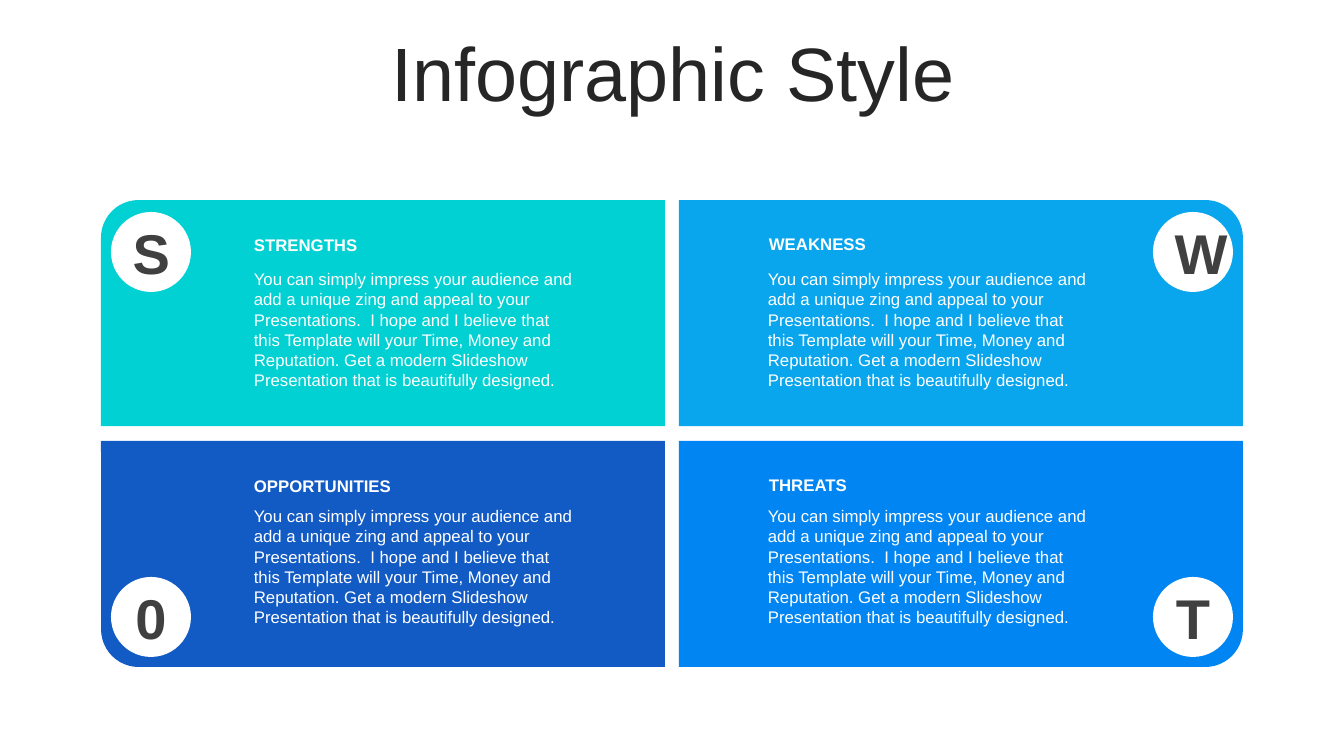
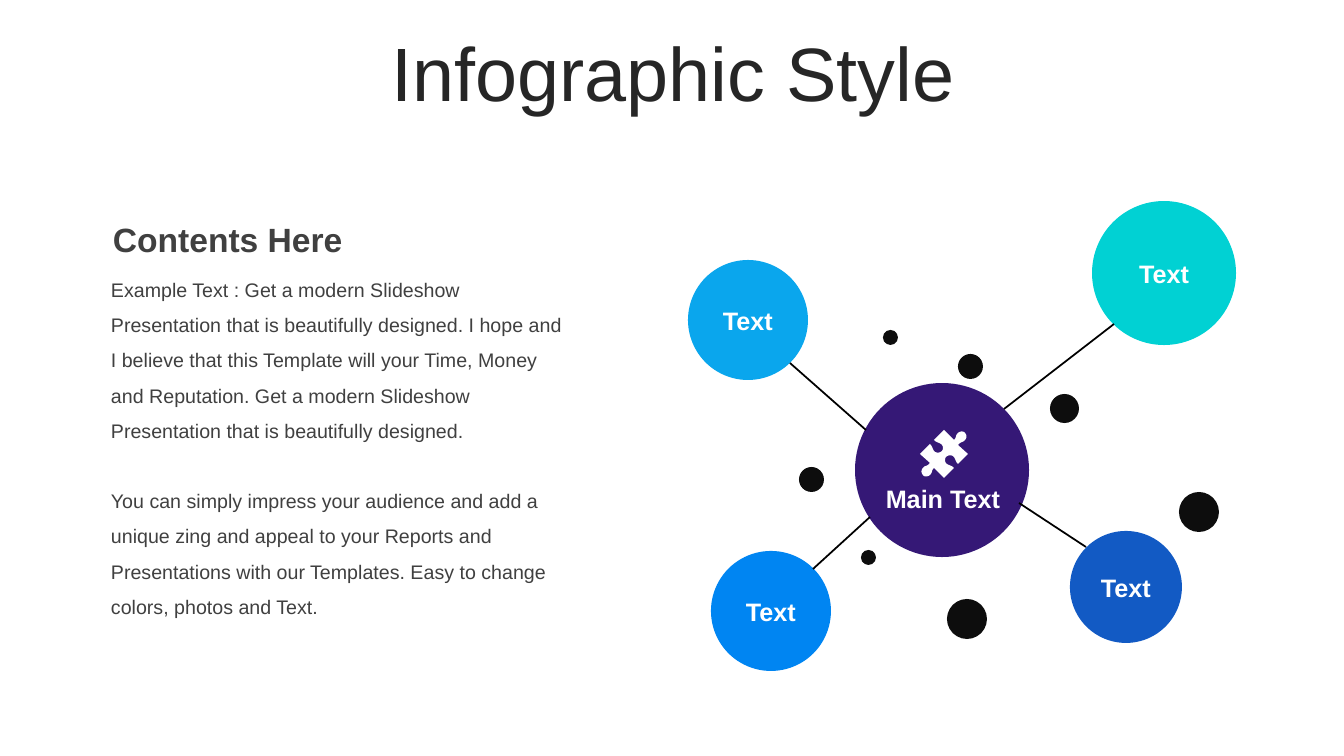
"""Builds a SWOT grid slide and a hub diagram slide."""
from pptx import Presentation
from pptx.dml.color import RGBColor
from pptx.enum.shapes import MSO_CONNECTOR, MSO_SHAPE
from pptx.enum.text import MSO_ANCHOR, PP_ALIGN
from pptx.oxml.ns import qn
from pptx.util import Pt
from lxml import etree

OVAL, CARD = MSO_SHAPE.OVAL, MSO_SHAPE.ROUND_1_RECTANGLE
LINE = MSO_CONNECTOR.STRAIGHT
LEFT, MID = PP_ALIGN.LEFT, PP_ALIGN.CENTER
CENTRE = MSO_ANCHOR.MIDDLE
PX = 914400 / 100.8
FONT = "Arial"
INK = {
    "title": "262626", "text": "404040", "white": "FFFFFF", "line": "000000",
    "dot": "0D0D0D", "teal": "01D1D3", "sky": "0AA6ED", "navy": "125AC4",
    "blue": "0085F2", "plum": "351876",
}


def write(frame, text, size, ink, bold=False, align=LEFT):
    frame.word_wrap = True
    for row, line in enumerate(text.split("\n")):
        para = frame.add_paragraph() if row else frame.paragraphs[0]
        para.alignment = align
        run = para.add_run()
        run.text = line
        run.font.name, run.font.size, run.font.bold = FONT, Pt(size), bold
        run.font.color.rgb = RGBColor.from_string(INK[ink])
    return frame


def place(slide, box, kind=None, fill=None):
    box = [round(n * PX) for n in box]
    if kind is None:
        return slide.shapes.add_textbox(*box)
    shape = slide.shapes.add_shape(kind, *box)
    shape.shadow.inherit = False
    shape.fill.solid()
    shape.fill.fore_color.rgb = RGBColor.from_string(INK[fill])
    shape.line.fill.background()
    return shape


deck = Presentation()
deck.slide_width, deck.slide_height = round(1344 * PX), round(756 * PX)
swot, hub = [deck.slides.add_slide(deck.slide_layouts[6]) for _ in range(2)]
for slide in (swot, hub):
    frame = place(slide, (35, 37, 1276, 80)).text_frame
    frame.vertical_anchor = CENTRE
    write(frame, "Infographic Style", 54, "title", align=MID)
    frame.paragraphs[0].line_spacing = 0.9
    frame.paragraphs[0].space_before = Pt(10)

PITCH = "You can simply impress your audience and add a "
GET = "Get a modern Slideshow Presentation that is beautifully designed."
HOPE = "I hope and I believe that this Template will your Time, Money and Reputation. " + GET
BODY = PITCH + "unique zing and appeal to your Presentations.  " + HOPE

cards = [
    ("S", "STRENGTHS", "teal"), ("W", "WEAKNESS", "sky"),
    ("0", "OPPORTUNITIES", "navy"), ("T", "THREATS", "blue"),
]
for i, (mark, head, ink) in enumerate(cards):
    row, col = divmod(i, 2)
    card = place(swot, (101 + 578 * col, 200 + 241 * row, 564, 226), CARD, ink)
    card.rotation = 180 * row
    if row == col:
        card._element.spPr.xfrm.set("flipH", "1")
    badge = place(swot, (111 + 1042 * col, 212 + 365 * row, 80, 80), OVAL, "white")
    write(badge.text_frame, mark, 40, "text", True, MID)
    label = place(swot, (244 + 515 * col, 230 + 241 * row - col, 342, 30))
    write(label.text_frame, head, 12, "white", True)
    note = place(swot, (244 + 514 * col, 264 + 237 * row, 342, 132))
    write(note.text_frame, BODY, 12, "white")

head = place(hub, (103, 214, 474, 50))
write(head.text_frame, "Contents Here", 24, "text", True)
story = "Example Text : " + GET + " " + HOPE
story = story.replace(GET + " I hope", GET + " I hope", 1)
story += "\n" + PITCH + "unique zing and appeal to your Reports and Presentations "
story += "with our Templates. Easy to change colors, photos and Text."
frame = place(hub, (103, 261, 474, 362)).text_frame
frame.margin_left = frame.margin_right = round(8 * PX)
write(frame, story, 14, "text")
for para in frame.paragraphs:
    para.line_spacing = 1.5
frame.paragraphs[1].space_before = Pt(25)

place(hub, (855, 383, 174, 174), OVAL, "plum")
nodes = [
    (1092, 201, 144, "teal"), (1070, 531, 112, "navy"),
    (688, 260, 120, "sky"), (711, 551, 120, "blue"),
]
for x, y, size, ink in nodes:
    node = place(hub, (x, y, size, size), OVAL, ink)
    write(node.text_frame, "Text", 18, "white", True, MID)

links = [
    (790, 363, 866, 430), (813, 569, 870, 517),
    (1004, 409, 1114, 324), (1019, 503, 1086, 547),
]
for ends in links:
    link = hub.shapes.add_connector(LINE, *[round(n * PX) for n in ends])
    link.line.color.rgb = RGBColor.from_string(INK["line"])
    link.line.width = Pt(1.25)
    etree.SubElement(link._element.spPr, qn("a:effectLst"))

dots = [
    (947, 599, 40), (1050, 394, 29), (883, 330, 15), (799, 467, 25),
    (1179, 492, 40), (958, 354, 25), (861, 550, 15),
]
for x, y, size in dots:
    place(hub, (x, y, size, size), OVAL, "dot")

main = place(hub, (857, 478, 172, 40))
write(main.text_frame, "Main Text", 18, "white", True, MID)

steps = [
    [(23, -19), (23, -16), (21, -14)], [(19, -11), (17, -13), (14, -9)],
    [(24, 0)], [(14, 10)],
    [(11, 7), (12, 5), (9, 2)], [(7, 1), (4, 1), (2, 3)],
    [(1, 4), (0, 8), (3, 10)], [(6, 12), (7, 11), (10, 14)],
    [(0, 24)], [(-10, 14)],
    [(-13, 17), (-11, 18), (-14, 21)], [(-16, 23), (-20, 23), (-21, 21)],
]
edge = [(21, -21)]
for step in steps:
    if len(step) == 1:
        edge += step
        continue
    curve = [edge[-1], *step]
    for k in range(1, 7):
        t = k / 6
        mix = [(1 - t) ** 3, 3 * t * (1 - t) ** 2, 3 * t * t * (1 - t), t ** 3]
        edge.append(tuple(sum(m * p[axis] for m, p in zip(mix, curve)) for axis in (0, 1)))
edge += [(-x, -y) for x, y in edge]
spots = [(round((944 + x) * PX), round((454 + y) * PX)) for x, y in edge]
pen = hub.shapes.build_freeform(*spots[0])
pen.add_line_segments(spots[1:], close=True)
piece = pen.convert_to_shape()
piece.shadow.inherit = False
piece.fill.solid()
piece.fill.fore_color.rgb = RGBColor.from_string(INK["white"])
piece.line.fill.background()

deck.save("out.pptx")
